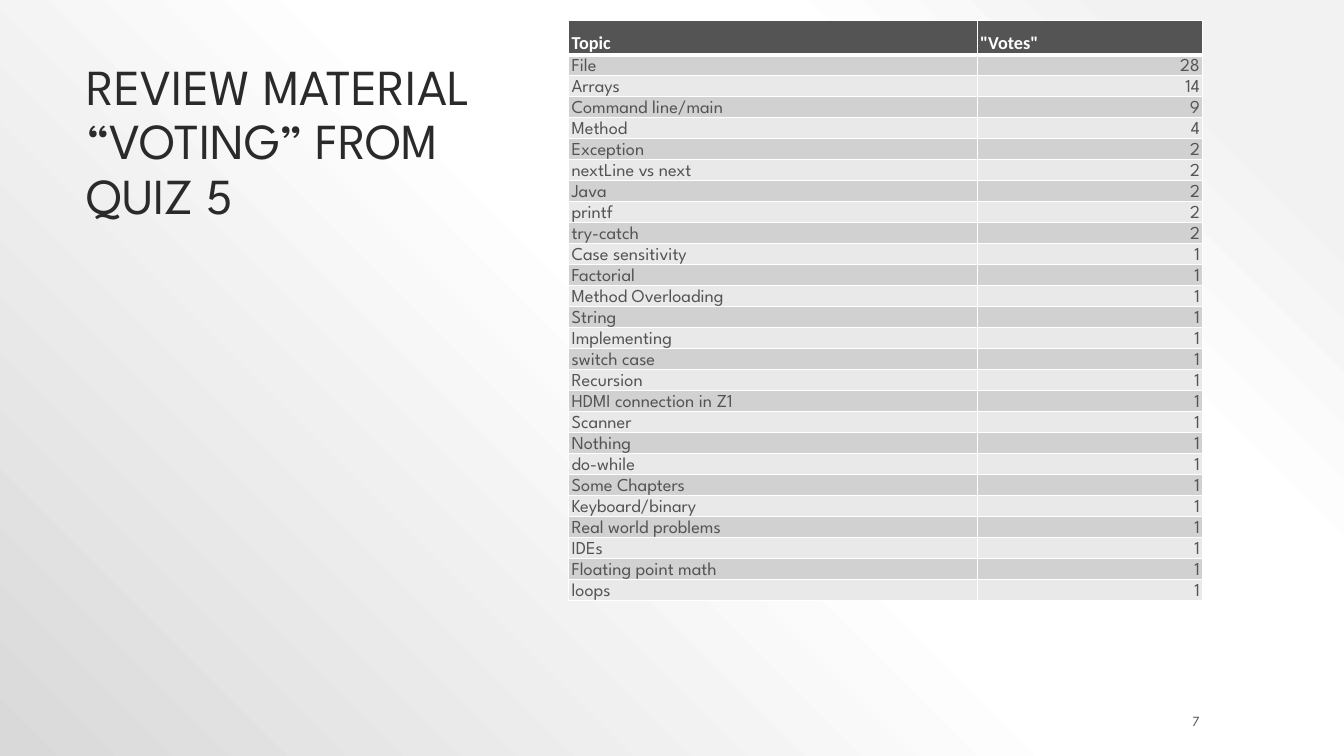
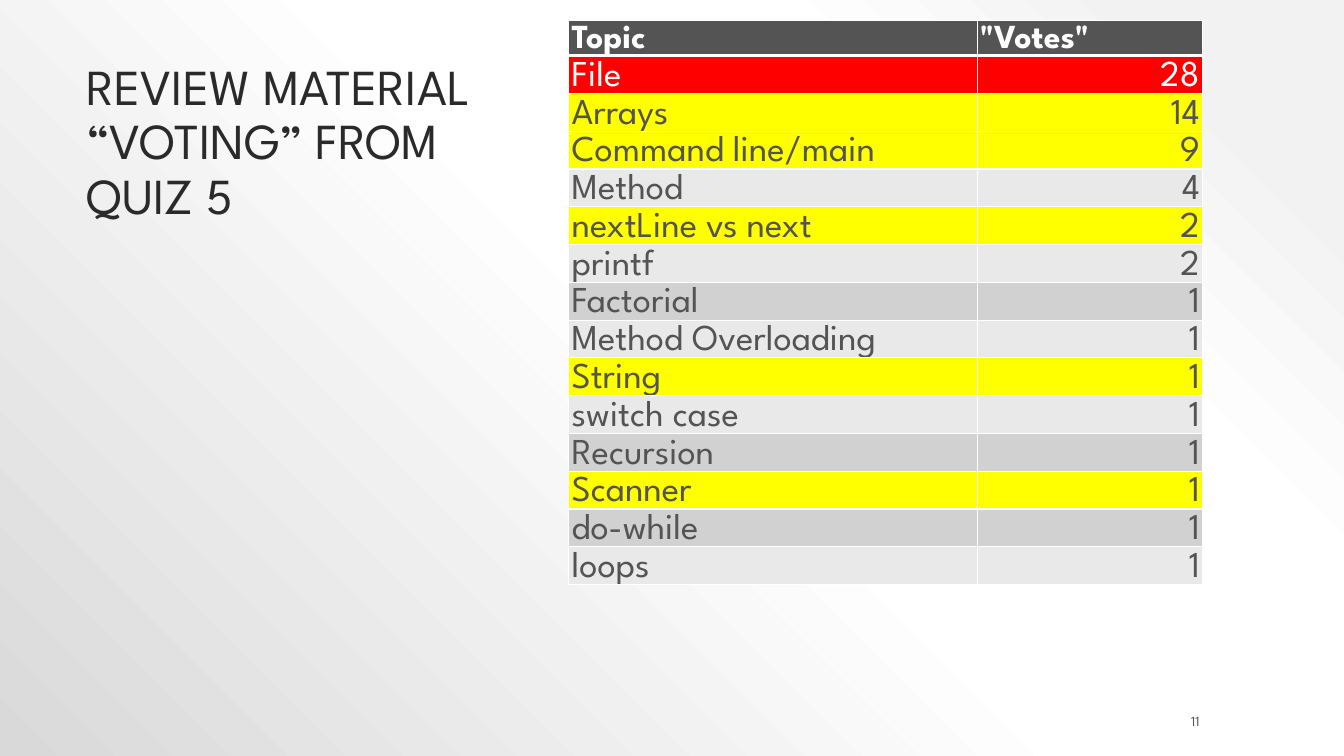
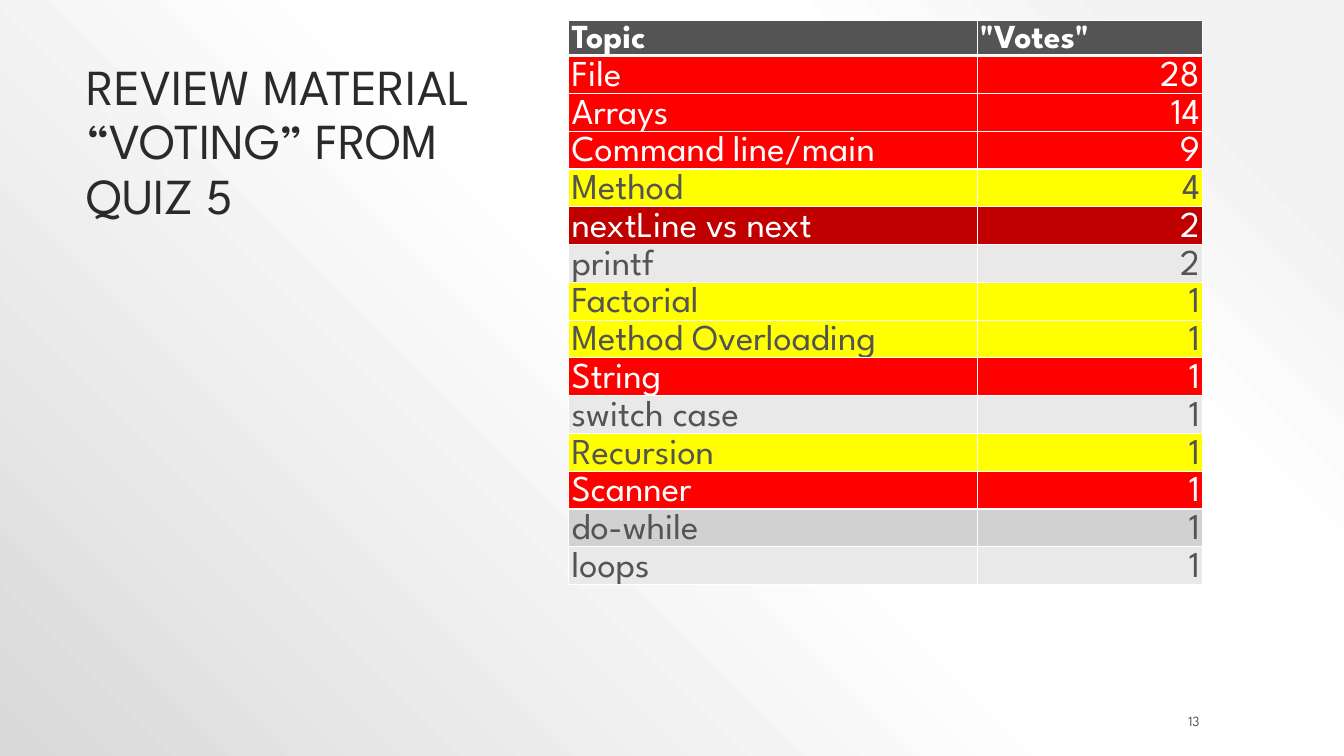
from lxml.etree import SubElement
from pptx import Presentation
from pptx.dml.color import RGBColor
from pptx.enum.text import MSO_ANCHOR, PP_ALIGN
from pptx.oxml import parse_xml
from pptx.oxml.ns import nsdecls, qn
from pptx.util import Inches, Pt

WIDTH, HEIGHT = Inches(13.33), Inches(7.5)
GRID_COLUMNS, GRID_ROWS = 48, 36
FONT = "League Spartan"
COLORS = {
    "title": "2A2A2A",
    "text": "545454",
    "header": "545454",
    "white": "FFFFFF",
    "dark band": "D1D1D1",
    "light band": "E9E9E9",
    "red": "FF0000",
    "dark red": "C00000",
    "yellow": "FFFF00",
}
BACKGROUND_STOPS = [(10, "F2F2F2"), (28, "FFFFFF"), (48, "FFFFFF"), (100, "D9D9D9")]
TITLE_BOX = (2.74, 4, 17.57, 6.96)
TABLE_BOX = (20.31, 0.98, 22.65, 34)
NUMBER_BOX = (38.7, 33.84, 4.5, 0.96)
TOPIC_COLUMNS = 14.59
HEADER_ROWS = 1.63
TITLE_SPACING = 0.9
TABLE_SPACING = 0.77
TITLE = "REVIEW MATERIAL “VOTING” FROM QUIZ 5"
HEADINGS = ("Topic", '"Votes"')

VOTES = {
    "File": 28, "Arrays": 14, "Command line/main": 9, "Method": 4,
    **dict.fromkeys(("Exception", "nextLine vs next", "Java", "printf", "try-catch"), 2),
    **dict.fromkeys((
        "Case sensitivity", "Factorial", "Method Overloading", "String", "Implementing",
        "switch case", "Recursion", "HDMI connection in Z1", "Scanner", "Nothing",
        "do-while", "Some Chapters", "Keyboard/binary", "Real world problems", "IDEs",
        "Floating point math", "loops"), 1),
}
DROPPED = {
    "Exception", "Java", "try-catch", "Case sensitivity", "Implementing",
    "HDMI connection in Z1", "Nothing", "Some Chapters", "Keyboard/binary",
    "Real world problems", "IDEs", "Floating point math",
}
SHORT_VOTES = {topic: count for topic, count in VOTES.items() if topic not in DROPPED}
FIRST_REVIEW = {
    "File": "red",
    **dict.fromkeys(("Arrays", "Command line/main", "nextLine vs next", "String", "Scanner"), "yellow"),
}
SECOND_REVIEW = {
    **dict.fromkeys(("File", "Arrays", "Command line/main", "String", "Scanner"), "red"),
    **dict.fromkeys(("Method", "Factorial", "Method Overloading", "Recursion"), "yellow"),
    "nextLine vs next": "dark red",
}
SLIDES = [
    {"number": 7, "votes": VOTES, "highlights": {}, "row_height": 1,
     "header_size": 13, "body_size": 13, "header_font": "Calibri"},
    {"number": 11, "votes": SHORT_VOTES, "highlights": FIRST_REVIEW, "row_height": 1.8,
     "header_size": 24, "body_size": 26, "header_font": FONT},
    {"number": 13, "votes": SHORT_VOTES, "highlights": SECOND_REVIEW, "row_height": 1.8,
     "header_size": 24, "body_size": 26, "header_font": FONT},
]


def across(columns):
    """Turn grid columns into a length."""
    return int(WIDTH * columns / GRID_COLUMNS)


def down(rows):
    """Turn grid rows into a length."""
    return int(HEIGHT * rows / GRID_ROWS)


def place(box):
    """Turn a grid box into left, top, width and height."""
    left, top, width, height = box
    return across(left), down(top), across(width), down(height)


def write(frame, text, size, color, font=FONT, bold=False, align=PP_ALIGN.LEFT, spacing=1.0):
    """Add one styled run to the first paragraph of a frame."""
    paragraph = frame.paragraphs[0]
    paragraph.alignment = align
    paragraph.line_spacing = spacing
    run = paragraph.add_run()
    run.text = text
    run.font.size = Pt(size)
    run.font.name = font
    run.font.bold = bold
    run.font.color.rgb = RGBColor.from_string(COLORS[color])


def paint_background(master):
    """Give every slide the gradient that spreads from the top right corner."""
    master.background.fill.gradient()
    old_gradient = next(master.element.iter(qn("a:gradFill")))
    stops = "".join(
        f'<a:gs pos="{share * 1000}"><a:srgbClr val="{color}"/></a:gs>'
        for share, color in BACKGROUND_STOPS)
    gradient = parse_xml(
        f'<a:gradFill {nsdecls("a")} rotWithShape="1"><a:gsLst>{stops}</a:gsLst>'
        '<a:path path="circle"><a:fillToRect l="100000" b="100000"/></a:path></a:gradFill>')
    old_gradient.getparent().replace(old_gradient, gradient)


def add_text(slide, box, anchor, text, size, color, **style):
    """Place a wrapped text box."""
    frame = slide.shapes.add_textbox(*place(box)).text_frame
    frame.word_wrap = True
    frame.vertical_anchor = anchor
    write(frame, text, size, color, **style)


def set_borders(cell, **widths):
    """Draw the white borders of a cell, one point wide unless stated."""
    properties = cell._tc.get_or_add_tcPr()
    for index, side in enumerate("LRTB"):
        line = SubElement(properties, qn(f"a:ln{side}"), w=str(Pt(widths.get(side, 1))))
        fill = SubElement(line, qn("a:solidFill"))
        SubElement(fill, qn("a:srgbClr"), val=COLORS["white"])
        properties.insert(index, line)


def fill_cell(cell, color, **borders):
    """Set the fill, margins, anchor and borders of a cell."""
    cell.fill.solid()
    cell.fill.fore_color.rgb = RGBColor.from_string(COLORS[color])
    cell.margin_left = cell.margin_right = Inches(0.03)
    cell.margin_top = cell.margin_bottom = Inches(0.02)
    cell.vertical_anchor = MSO_ANCHOR.BOTTOM
    set_borders(cell, **borders)


def add_votes_table(slide, box, votes, highlights, row_height, header_size, body_size, header_font):
    """Place the table of topics and votes with its highlighted rows."""
    left, top, width, _ = place(box)
    height = down(HEADER_ROWS + row_height * len(votes))
    table = slide.shapes.add_table(len(votes) + 1, 2, left, top, width, height).table
    table.horz_banding = False
    table.columns[0].width = across(TOPIC_COLUMNS)
    table.columns[1].width = width - across(TOPIC_COLUMNS)
    table.rows[0].height = down(HEADER_ROWS)
    for cell, heading in zip(table.rows[0].cells, HEADINGS):
        fill_cell(cell, "header", B=3)
        write(cell.text_frame, heading, header_size, "white", header_font, bold=True,
              spacing=TABLE_SPACING)
    for index, (topic, count) in enumerate(votes.items(), start=1):
        row = table.rows[index]
        row.height = down(row_height)
        band = "dark band" if index % 2 else "light band"
        fill = highlights.get(topic, band)
        color = "white" if fill in ("red", "dark red") else "text"
        for cell, text, align in zip(row.cells, (topic, str(count)), (PP_ALIGN.LEFT, PP_ALIGN.RIGHT)):
            fill_cell(cell, fill, T=3 if index == 1 else 1)
            write(cell.text_frame, text, body_size, color, align=align, spacing=TABLE_SPACING)


def add_voting_slide(presentation, number, **table_options):
    """Add a slide with the title, the votes table and the slide number."""
    slide = presentation.slides.add_slide(presentation.slide_layouts[6])
    add_text(slide, TITLE_BOX, MSO_ANCHOR.BOTTOM, TITLE, 36, "title", spacing=TITLE_SPACING)
    add_votes_table(slide, TABLE_BOX, **table_options)
    add_text(slide, NUMBER_BOX, MSO_ANCHOR.MIDDLE, str(number), 10, "text", align=PP_ALIGN.RIGHT)


def main():
    """Build and save the presentation."""
    presentation = Presentation()
    presentation.slide_width, presentation.slide_height = WIDTH, HEIGHT
    paint_background(presentation.slide_master)
    for options in SLIDES:
        add_voting_slide(presentation, **options)
    presentation.save("out.pptx")


if __name__ == "__main__":
    main()
